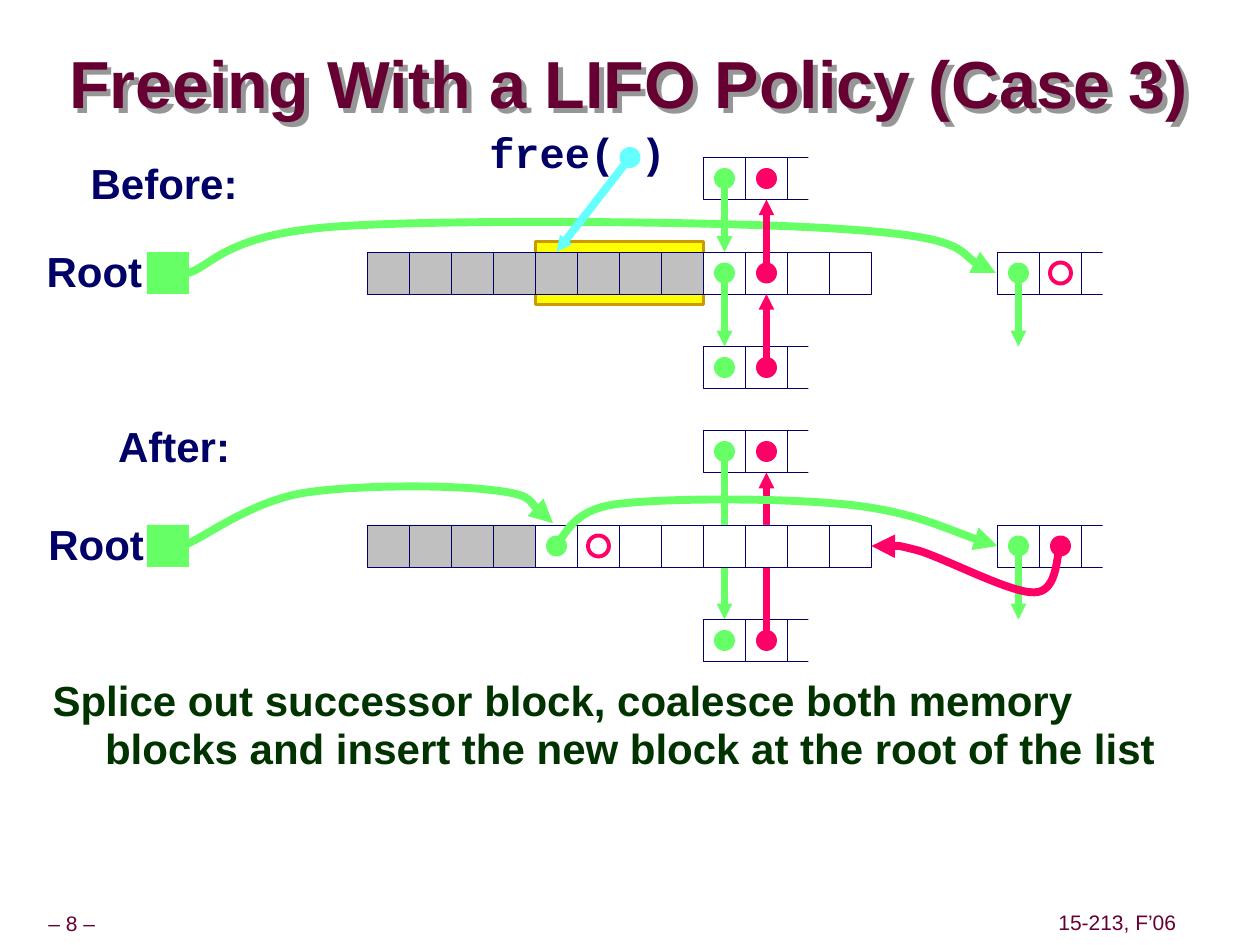
from lxml import etree
from pptx import Presentation
from pptx.dml.color import RGBColor
from pptx.enum.shapes import MSO_CONNECTOR, MSO_SHAPE
from pptx.enum.text import MSO_ANCHOR, PP_ALIGN
from pptx.oxml.ns import qn
from pptx.util import Pt

RECT, OVAL = MSO_SHAPE.RECTANGLE, MSO_SHAPE.OVAL
STRAIGHT = MSO_CONNECTOR.STRAIGHT
LEFT, CENTER = PP_ALIGN.LEFT, PP_ALIGN.CENTER
TOP, MIDDLE = MSO_ANCHOR.TOP, MSO_ANCHOR.MIDDLE

THEME = {
    "maroon": "660033", "navy": "000066", "forest": "003300",
    "white": "FFFFFF", "gray": "C0C0C0", "yellow": "FFFF00", "gold": "CC9900",
    "green": "66FF66", "red": "FF0066", "cyan": "66FFFF", "shadow": "969696",
    "sans": "Arial", "mono": "Courier New",
    "title": 38, "text": 24, "footer": 12,
    "hair": 0.25, "frame": 1.5, "ring": 2.25, "arrow": 4.5,
}

CELL, DOT = 24, 12
GRID_LEFT, ROW_CELLS = 210, 12
LINK_COL, FIRST_COL, ROOT_LEFT = 8, 15, 84
STUB_GAP = 54

TITLE = ("Freeing With a LIFO Policy (Case 3)", (16.5, 19.5, 686, 61))
BODY = ("Splice out successor block, coalesce both memory blocks "
        "and insert the new block at the root of the list", (23, 384, 654.5, 123))
FOOTERS = [("– 8 –", (0, 518.5, 82, 20)), ("15-213, F’06", (601, 518, 75, 20))]
LABELS = [
    ("free( )", "mono", (270, 72, 120, 33)),
    ("Root", "sans", (18, 140, 72, 33)),
    ("Root", "sans", (19, 296, 72, 33)),
    ("Before:", "sans", (42, 90, 103.5, 33)),
    ("After:", "sans", (54, 240, 91, 33)),
]
HIGHLIGHT = (306, 138, 96, 36)
FREE_DOT = (360, 90)

BEFORE = {"top": 144, "used": 8}
AFTER = {"top": 300, "used": 4}

ROOT_TO_LIST = [(107.5, 156), (121.5, 152), (128, 134), (192, 129.5), (256, 125),
                (427, 126.5), (489.5, 131.5), (552, 136), (552, 151), (569, 156)]
ROOT_TO_BLOCK = [(106.5, 311), (117.5, 306.5), (142.5, 287.5), (171.5, 282), (200, 277),
                 (256.5, 277), (280.5, 280), (304.5, 282.5), (309, 294.5), (316, 299)]
BLOCK_TO_LIST = [(317, 312), (323, 308), (325, 291.5), (353, 288), (381, 284.5),
                 (449.5, 284.5), (485.5, 288.5), (522, 292.5), (552.5, 307.5), (570, 312)]
LIST_TO_BLOCK = [(606, 312), (603.5, 316), (605, 338.5), (591, 338.5), (577.5, 339),
                 (540, 319), (524.5, 314.5), (509, 310.5), (503.5, 312.5), (498, 312)]

prs = Presentation()
prs.slide_width, prs.slide_height = Pt(720), Pt(540)
slide = prs.slides.add_slide(prs.slide_layouts[6])
shapes = slide.shapes


def rgb(name):
    return RGBColor.from_string(THEME[name])


def col_x(col):
    return GRID_LEFT + CELL * col


def add_box(parent, kind, box, fill=None, line=None, width="hair"):
    sp = parent.add_shape(kind, *map(Pt, box))
    sp.shadow.inherit = False
    if fill:
        sp.fill.solid()
        sp.fill.fore_color.rgb = rgb(fill)
    else:
        sp.fill.background()
    if line:
        sp.line.color.rgb = rgb(line)
        sp.line.width = Pt(THEME[width])
    else:
        sp.line.fill.background()
    return sp


def add_cells(parent, col, y, fills):
    return [add_box(parent, RECT, (col_x(col + i), y, CELL, CELL), fill, "navy")
            for i, fill in enumerate(fills)]


def add_stub(col, y):
    group = shapes.add_group_shape().shapes
    cells = add_cells(group, col, y, ["white"] * 3)
    add_box(group, RECT, (col_x(col + 2.5), y - CELL / 4, CELL, CELL * 1.5), "white")
    return cells


def add_dot(x, y, color, ring=False):
    box = (x - DOT / 2, y - DOT / 2, DOT, DOT)
    if ring:
        add_box(shapes, OVAL, box, None, color, "ring")
    else:
        add_box(shapes, OVAL, box, color)


def cell_dot(col, top, color, ring=False):
    add_dot(col_x(col + 0.5), top + CELL / 2, color, ring)


def style_arrow(sp, color, head):
    sp.line.color.rgb = rgb(color)
    sp.line.width = Pt(THEME["arrow"])
    etree.SubElement(sp.line._get_or_add_ln(), qn("a:tailEnd"), type="triangle", w=head, len=head)


def add_arrow(x1, y1, x2, y2, color, target=None, site=0):
    cn = shapes.add_connector(STRAIGHT, Pt(x1), Pt(y1), Pt(x2), Pt(y2))
    style_arrow(cn, color, "sm")
    etree.SubElement(cn._element.spPr, qn("a:effectLst"))
    if target is not None:
        cn.end_connect(target, site)


def link_down(col, top, end, target=None):
    x = col_x(col + 0.5)
    add_arrow(x, top + CELL / 2, x, end, "green", target, 0)


def link_up(col, top, end, target):
    x = col_x(col + 0.5)
    add_arrow(x, top + CELL / 2, x, end + CELL, "red", target, 2)


def add_curve(points, color):
    pts = [(Pt(x), Pt(y)) for x, y in points]
    builder = shapes.build_freeform(*pts[0])
    builder.add_line_segments(pts[1:], close=False)
    sp = builder.convert_to_shape()
    sp.shadow.inherit = False
    sp.fill.background()
    path = next(sp._element.iter(qn("a:path")))
    lines = path.findall(qn("a:lnTo"))
    for i in range(0, len(lines), 3):
        bezier = etree.SubElement(path, qn("a:cubicBezTo"))
        for line in lines[i:i + 3]:
            bezier.append(line[0])
            path.remove(line)
    style_arrow(sp, color, "med")


def add_text(text, box, size, color, font="sans", bold=True, align=CENTER,
             anchor=TOP, wrap=False, inset=(3.6, 3.6), spacing=0.9):
    sp = shapes.add_textbox(*map(Pt, box))
    tf = sp.text_frame
    tf.word_wrap = wrap
    tf.vertical_anchor = anchor
    tf.margin_left = tf.margin_right = Pt(inset[0])
    tf.margin_top = tf.margin_bottom = Pt(inset[1])
    p = tf.paragraphs[0]
    p.alignment = align
    p.line_spacing = spacing
    r = p.add_run()
    r.text = text
    r.font.size = Pt(THEME[size])
    r.font.bold = bold
    r.font.color.rgb = rgb(color)
    r.font.name = THEME[font]
    return sp


def add_list_end(top):
    add_box(shapes, RECT, (ROOT_LEFT, top, CELL, CELL), "green")
    add_stub(FIRST_COL, top)
    link_down(FIRST_COL, top, top + STUB_GAP)
    cell_dot(FIRST_COL, top, "green")


def add_row(state):
    used = state["used"]
    return add_cells(shapes, 0, state["top"], ["gray"] * used + ["white"] * (ROW_CELLS - used))


def add_link_dots(*tops):
    for top in tops:
        cell_dot(LINK_COL, top, "green")
        cell_dot(LINK_COL + 1, top, "red")


def draw_before():
    top = BEFORE["top"]
    above, below = top - STUB_GAP, top + STUB_GAP
    add_box(shapes, RECT, HIGHLIGHT, "yellow", "gold", "frame")
    add_curve(ROOT_TO_LIST, "green")
    row = add_row(BEFORE)
    upper, lower = add_stub(LINK_COL, above), add_stub(LINK_COL, below)
    link_down(LINK_COL, above, top, row[LINK_COL])
    link_down(LINK_COL, top, below, lower[0])
    link_up(LINK_COL + 1, below, top, row[LINK_COL + 1])
    link_up(LINK_COL + 1, top, above, upper[1])
    add_link_dots(above, top, below)
    add_list_end(top)
    cell_dot(FIRST_COL + 1, top, "red", ring=True)
    add_dot(*FREE_DOT, "cyan")
    add_arrow(*FREE_DOT, col_x(4.5), top, "cyan", row[4], 0)


def draw_after():
    top = AFTER["top"]
    above, below = top - STUB_GAP, top + STUB_GAP
    upper, lower = add_stub(LINK_COL, above), add_stub(LINK_COL, below)
    link_down(LINK_COL, above, below, lower[0])
    link_up(LINK_COL + 1, below, above, upper[1])
    add_row(AFTER)
    add_link_dots(above, below)
    add_list_end(top)
    cell_dot(FIRST_COL + 1, top, "red")
    cell_dot(4, top, "green")
    cell_dot(5, top, "red", ring=True)
    add_curve(BLOCK_TO_LIST, "green")
    add_curve(LIST_TO_BLOCK, "red")
    add_curve(ROOT_TO_BLOCK, "green")


draw_before()
draw_after()

sp = add_text(*TITLE, "title", "maroon", anchor=MIDDLE, wrap=True, inset=(0, 0), spacing=0.87)
effects = etree.SubElement(sp._element.spPr, qn("a:effectLst"))
shadow = etree.SubElement(effects, qn("a:outerShdw"), dist=str(Pt(4)), dir="2700000")
etree.SubElement(shadow, qn("a:srgbClr"), val=THEME["shadow"])

sp = add_text(*BODY, "text", "forest", align=LEFT, wrap=True, inset=(7.2, 3.6), spacing=0.95)
pPr = sp.text_frame.paragraphs[0]._p.get_or_add_pPr()
pPr.set("marL", str(Pt(30)))
pPr.set("indent", str(Pt(-30)))

for text, font, box in LABELS:
    add_text(text, box, "text", "navy", font)
for text, box in FOOTERS:
    add_text(text, box, "footer", "maroon", bold=False, anchor=MIDDLE)

prs.save("out.pptx")
